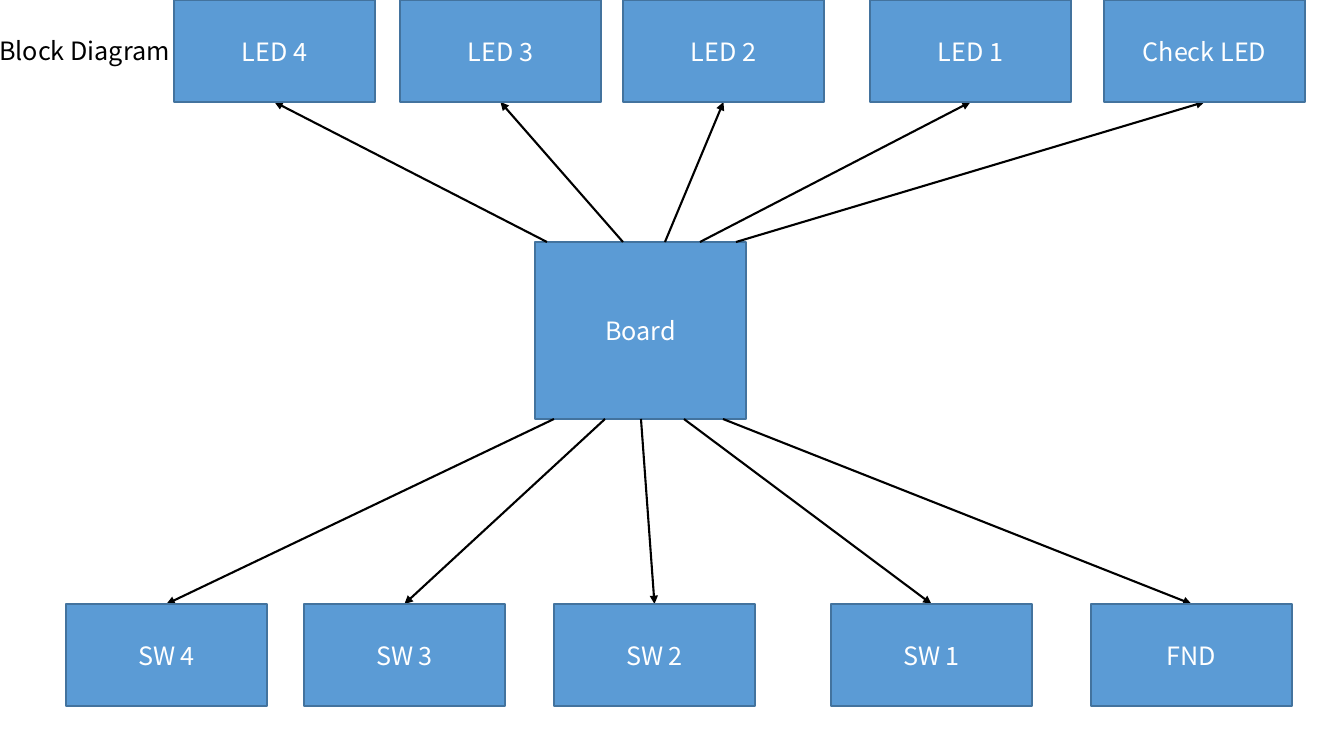
"""Build the block diagram of a main board with its LEDs, switches and display."""
from pptx import Presentation
from pptx.dml.color import RGBColor
from pptx.enum.shapes import MSO_CONNECTOR as Link, MSO_SHAPE as Form
from pptx.enum.text import MSO_ANCHOR as Anchor, MSO_AUTO_SIZE as Fit, PP_ALIGN as Align
from pptx.oxml.ns import qn
from pptx.util import Pt
from lxml.etree import SubElement

BLUE = RGBColor(0x5B, 0x9B, 0xD5)
EDGE = RGBColor(0x43, 0x73, 0x9E)
WHITE = RGBColor(255, 255, 255)
BLACK = RGBColor(0, 0, 0)
FONT = "Noto Sans CJK KR"

TITLE = "Block Diagram"
BOARD = "Board"
# label, left of box, x where its arrow leaves the board
LEDS = [("LED 4", 174, 547), ("LED 3", 400, 623), ("LED 2", 623, 665),
        ("LED 1", 870, 700), ("Check LED", 1104, 736)]
PARTS = [("SW 4", 66, 554), ("SW 3", 304, 605), ("SW 2", 554, 641),
         ("SW 1", 831, 684), ("FND", 1091, 723)]

WIDE, HIGH = 201, 102
LEFT, TOP, SPAN, DEPTH = 535, 242, 211, 177
LOW = 604


def px(*nums):
    return [round(num * 914400 / 100.8) for num in nums]


def write(shape, text, color, align):
    frame = shape.text_frame
    frame.word_wrap = True
    frame.auto_size = Fit.NONE
    frame.vertical_anchor = Anchor.MIDDLE
    para = frame.paragraphs[0]
    para.alignment = align
    run = para.add_run()
    run.text = text
    run.font.name = FONT
    run.font.size = Pt(18)
    run.font.color.rgb = color


def box(text, *area):
    shape = slide.shapes.add_shape(Form.RECTANGLE, *px(*area))
    shape.shadow.inherit = False
    shape.fill.solid()
    shape.fill.fore_color.rgb = BLUE
    shape.line.color.rgb = EDGE
    shape.line.width = Pt(1)
    write(shape, text, WHITE, Align.CENTER)


def arrow(*ends):
    link = slide.shapes.add_connector(Link.STRAIGHT, *px(*ends))
    link.line.color.rgb = BLACK
    link.line.width = Pt(1.5)
    SubElement(link.line._get_or_add_ln(), qn("a:tailEnd"), type="triangle")
    SubElement(link._element.spPr, qn("a:effectLst"))


deck = Presentation()
deck.slide_width, deck.slide_height = px(1344, 756)
slide = deck.slides.add_slide(deck.slide_layouts[5])

title = slide.shapes.title
title.left, title.top, title.width, title.height = px(-11, 30, 203, 41)
write(title, TITLE, BLACK, Align.LEFT)

box(BOARD, LEFT, TOP, SPAN, DEPTH)
for row, top, start, end in ((LEDS, 0, TOP, HIGH),
                             (PARTS, LOW, TOP + DEPTH, LOW)):
    for name, left, port in row:
        arrow(port, start, left + WIDE / 2, end)
        box(name, left, top, WIDE, HIGH)

deck.save("out.pptx")
